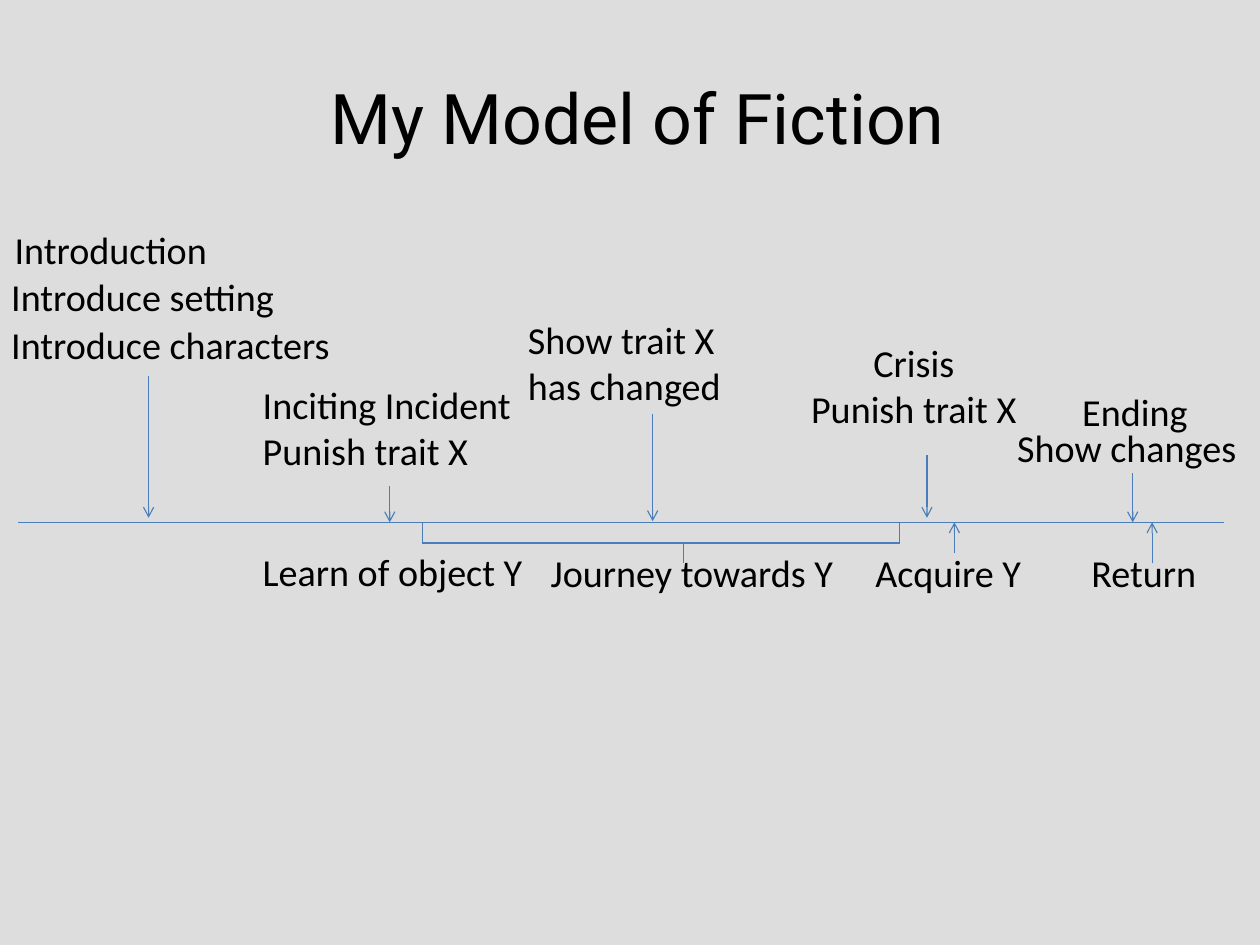
"""Build the fiction timeline slide."""
from lxml import etree
from pptx import Presentation
from pptx import util as u
from pptx.dml.color import RGBColor
from pptx.enum import shapes, text
from pptx.oxml.ns import qn

THEME = {
    "back": RGBColor.from_string("DDDDDD"),
    "ink": RGBColor.from_string("000000"),
    "line": RGBColor.from_string("4A7EBB"),
    "head": {"name": "Roboto", "size": u.Pt(44)},
    "body": {"name": "Calibri", "size": u.Pt(24)},
    "stroke": u.Pt(0.75),
}
SIZE = (u.Cm(28), u.Cm(21))
TITLE = "My Model of Fiction"
LEFT, MID = text.PP_ALIGN.LEFT, text.PP_ALIGN.CENTER
LABELS = [
    (["Introduction"], (0.03, 1.93, 1.89, 0.9), LEFT),
    (["Introduce setting"], (0, 2.34, 2.6, 0.9), LEFT),
    (["Introduce characters"], (0, 2.76, 3.04, 0.9), LEFT),
    (["Inciting Incident", "Punish trait X"], (2.2, 3.29, 2.41, 1.7), LEFT),
    (["Show trait X", "has changed"], (4.52, 2.72, 2.41, 0.91), LEFT),
    (["Crisis", "Punish trait X"], (6.93, 2.92, 2.13, 1.3), MID),
    (["Ending"], (9.37, 3.35, 1.24, 0.9), LEFT),
    (["Show changes"], (8.8, 3.66, 2.22, 0.9), LEFT),
    (["Learn of object Y"], (2.2, 4.75, 2.52, 0.9), LEFT),
    (["Journey towards Y"], (4.72, 4.76, 2.84, 0.9), LEFT),
    (["Acquire Y"], (7.56, 4.76, 1.57, 0.9), LEFT),
    (["Return"], (9.45, 4.76, 1.57, 0.5), LEFT),
]
AXIS = 4.57
SPAN = (0.16, 10.71)
ARROWS = [
    (1.3, 3.29, 4.53), (3.41, 4.25, AXIS), (5.71, 3.62, 4.56),
    (8.11, 3.98, 4.53), (9.91, 4.14, AXIS), (8.35, 4.84, AXIS),
    (10.08, 4.93, AXIS),
]
TRIP = (3.7, 7.87)
LOW = 4.75
TICK = 0.19
TICKS = [(TRIP[0], AXIS), (TRIP[1], AXIS), (5.98, 4.74)]


def style(para, look, align):
    """Format one paragraph."""
    para.alignment = align
    for key, val in look.items():
        setattr(para.font, key, val)
    para.font.color.rgb = THEME["ink"]


def label(slide, lines, box, align):
    """Add one text label."""
    frame = slide.shapes.add_textbox(*map(u.Inches, box)).text_frame
    frame.word_wrap = True
    frame.text = "\n".join(lines)
    for para in frame.paragraphs:
        style(para, THEME["body"], align)


def rule(slide, start, end, arrow=False):
    """Add a line, with an arrowhead at its end if asked."""
    link = slide.shapes.add_connector(
        shapes.MSO_CONNECTOR.STRAIGHT, *map(u.Inches, start + end))
    link.line.color.rgb = THEME["line"]
    link.line.width = THEME["stroke"]
    props = link._element.spPr
    if arrow:
        etree.SubElement(props.get_or_add_ln(), qn("a:tailEnd"), type="arrow")
    etree.SubElement(props, qn("a:effectLst"))


def head(slide):
    """Place and format the title."""
    title = slide.shapes.title
    box = map(u.Inches, (0.56, 0.33, 9.92, 1.38))
    for key, val in zip(("left", "top", "width", "height"), box):
        setattr(title, key, val)
    frame = title.text_frame
    frame.text = TITLE
    frame.vertical_anchor = text.MSO_ANCHOR.MIDDLE
    for side in ("left", "top", "right", "bottom"):
        setattr(frame, f"margin_{side}", 0)
    para = frame.paragraphs[0]
    style(para, THEME["head"], MID)
    para._p.get_or_add_pPr().set("marL", str(u.Inches(0.12)))


def main():
    """Build and save the slide."""
    deck = Presentation()
    deck.slide_width, deck.slide_height = SIZE
    slide = deck.slides.add_slide(deck.slide_layouts[5])
    fill = slide.background.fill
    fill.solid()
    fill.fore_color.rgb = THEME["back"]
    head(slide)
    for item in LABELS:
        label(slide, *item)
    rule(slide, (SPAN[0], AXIS), (SPAN[1], AXIS))
    for x, top, end in ARROWS:
        rule(slide, (x, top), (x, end), True)
    rule(slide, (TRIP[0], LOW), (TRIP[1], LOW))
    for x, top in TICKS:
        rule(slide, (x, top), (x, top + TICK))
    deck.save("out.pptx")


if __name__ == "__main__":
    main()
